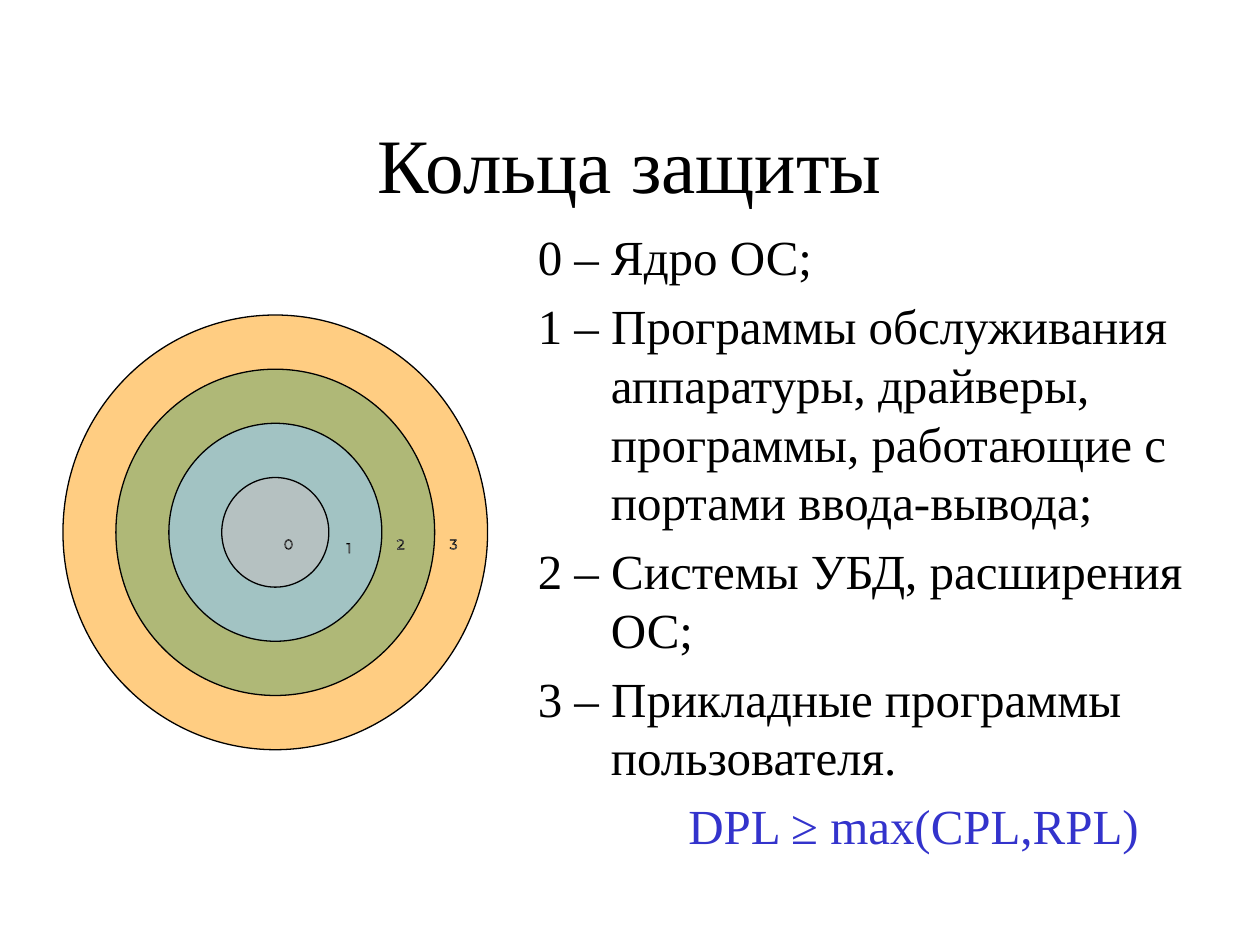
from lxml.etree import SubElement
from pptx import Presentation
from pptx.dml.color import RGBColor
from pptx.enum.shapes import MSO_SHAPE
from pptx.enum.text import MSO_ANCHOR, PP_ALIGN
from pptx.oxml import parse_xml
from pptx.oxml.ns import nsdecls, qn
from pptx.util import Inches, Pt

BLACK = RGBColor(0x00, 0x00, 0x00)
WHITE = RGBColor(0xFF, 0xFF, 0xFF)
BLUE = RGBColor(0x33, 0x33, 0xCC)
ORANGE = RGBColor(0xFF, 0x99, 0x00)
GREEN = RGBColor(0x33, 0x99, 0x66)
SKY = RGBColor(0x99, 0xCC, 0xFF)
GRAY = RGBColor(0xC0, 0xC0, 0xC0)
SERIF = "Times New Roman"


def style(para, size, color, face=SERIF):
    para.font.size = Pt(size)
    para.font.name = face
    para.font.color.rgb = color


deck = Presentation()
deck.slide_width, deck.slide_height = Inches(10), Inches(7.5)
slide = deck.slides.add_slide(deck.slide_layouts[5])

# Title
title = slide.shapes.title
title.left, title.top = Inches(0.75), Inches(0.67)
title.width, title.height = Inches(8.5), Inches(1.25)
title.text_frame.text = "Кольца защиты"
title.text_frame.vertical_anchor = MSO_ANCHOR.MIDDLE
title.text_frame.paragraphs[0].alignment = PP_ALIGN.CENTER
style(title.text_frame.paragraphs[0], 44, BLACK)

# Meaning of each ring, then the access rule
body = slide.shapes.add_textbox(Inches(4.17), Inches(1.75), Inches(5.58), Inches(5.42))
frame = body.text_frame
frame.word_wrap = True
lines = [
    "0 – Ядро ОС;",
    "1 – Программы обслуживания аппаратуры, драйверы, "
    "программы, работающие с портами ввода-вывода;",
    "2 – Системы УБД, расширения ОС;",
    "3 – Прикладные программы пользователя.",
    "DPL ≥ max(CPL,RPL)",
]
for i, line in enumerate(lines):
    para = frame.paragraphs[0] if i == 0 else frame.add_paragraph()
    para.text = line
    if i > 0:
        para.space_before = Pt(5.6)
    props = para._p.get_or_add_pPr()
    props.set("marL", str(Inches(0.58)))
    rule = i == len(lines) - 1
    props.set("indent", str(0 if rule else Inches(-0.58)))
    para.alignment = PP_ALIGN.CENTER if rule else PP_ALIGN.LEFT
    style(para, 28, BLUE if rule else BLACK)

# Rings from the outermost inwards, each inset by the same step
group = slide.shapes.add_group_shape()
rings = [(ORANGE, 49), (GREEN, 39), (SKY, 56), (GRAY, 66)]
for i, (color, alpha) in enumerate(rings):
    dx, dy = 0.42 * i, 0.43 * i
    ring = group.shapes.add_shape(
        MSO_SHAPE.OVAL, Inches(0.5 + dx), Inches(2.5 + dy),
        Inches(3.37 - 2 * dx), Inches(3.45 - 2 * dy))
    ring.shadow.inherit = False
    ring.fill.solid()
    ring.fill.fore_color.rgb = color
    tint = ring.fill._xPr.find(qn("a:solidFill"))[0]
    SubElement(tint, qn("a:alpha")).set("val", str(alpha * 1000))
    ring.line.color.rgb = BLACK
    ring.line.width = Pt(0.75)

# Ring numbers in outlined type
spots = [(2.23, 4.2), (2.71, 4.23), (3.12, 4.2), (3.54, 4.2)]
for num, (x, y) in enumerate(spots):
    label = group.shapes.add_textbox(Inches(x), Inches(y), Inches(0.12), Inches(0.27))
    frame = label.text_frame
    frame.word_wrap = False
    frame.margin_left = frame.margin_right = 0
    para = frame.paragraphs[0]
    para.text = str(num)
    para.alignment = PP_ALIGN.CENTER
    style(para, 8, WHITE, "Montserrat")
    edge = parse_xml(
        f'<a:ln {nsdecls("a")} w="{Pt(0.75)}"><a:solidFill>'
        f'<a:srgbClr val="{BLACK}"/></a:solidFill></a:ln>')
    para.runs[0].font._element.insert(0, edge)

deck.save("out.pptx")
